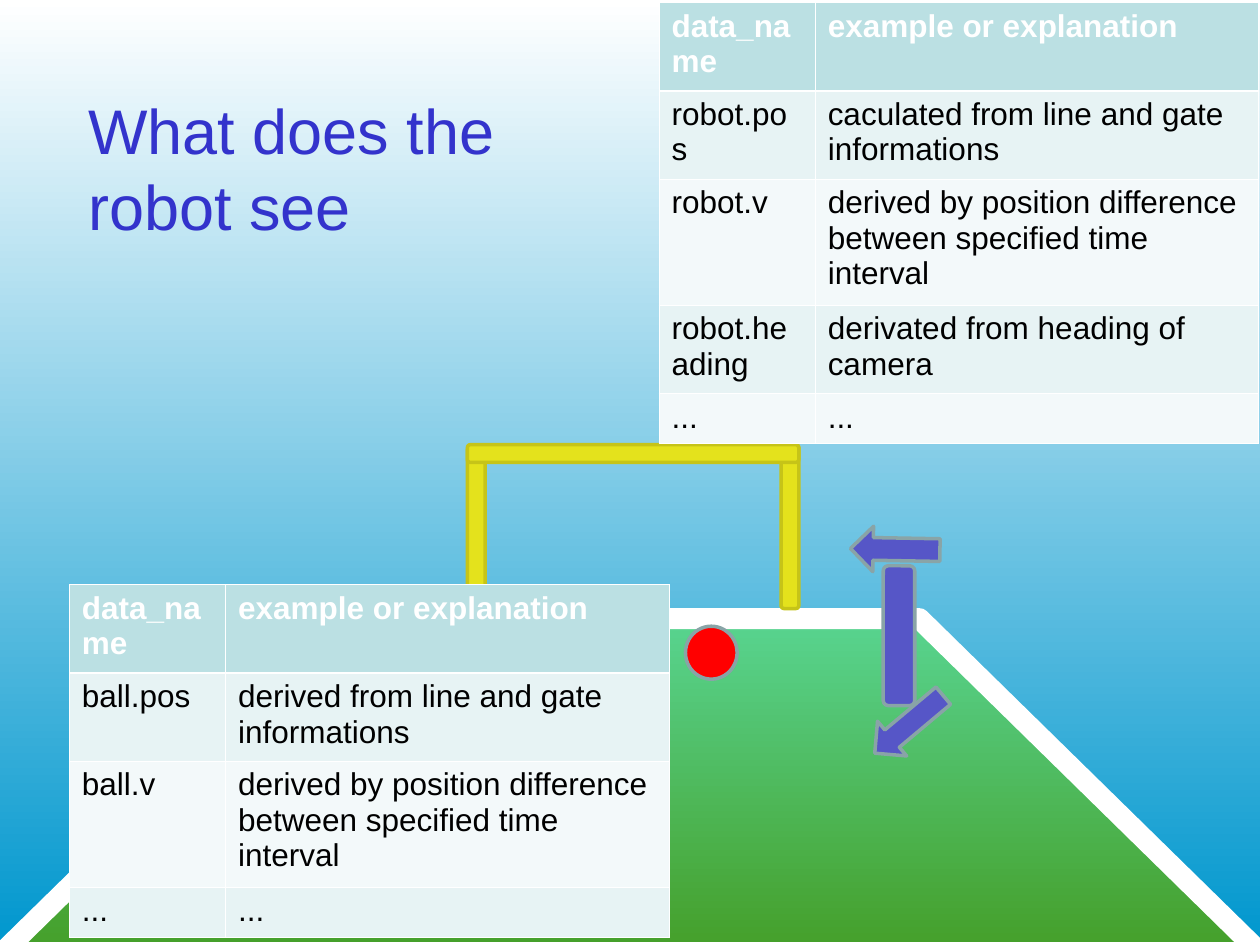
from dataclasses import dataclass

from lxml.etree import SubElement
from pptx import Presentation
from pptx.dml.color import RGBColor
from pptx.enum.shapes import MSO_SHAPE
from pptx.enum.text import MSO_ANCHOR, MSO_AUTO_SIZE, PP_ALIGN
from pptx.oxml.ns import qn
from pptx.util import Inches, Pt


@dataclass(frozen=True)
class Theme:
    font: str = "Arial"
    title_size: int = 36
    table_size: int = 18
    title: str = "3333CC"
    text: str = "000000"
    white: str = "FFFFFF"
    sky: tuple = ("FFFFFF", "0097CE")
    grass: tuple = ("58D490", "459F29")
    goal: str = "E4E21C"
    goal_edge: str = "C6C418"
    robot: str = "5656C7"
    edge: str = "89A4A7"
    ball: str = "FF0000"
    header: str = "BBE0E3"
    bands: tuple = ("E7F3F4", "F3F9FA")
    thin: float = 0.45
    thick: float = 1.47


def rgb(color):
    return RGBColor.from_string(color)


def fill_down(fill, colors):
    """Fill with a gradient running from top to bottom."""
    fill.gradient()
    fill.gradient_angle = 270
    for stop, color in zip(fill.gradient_stops, colors):
        stop.color.rgb = rgb(color)


class SlideBuilder:
    def __init__(self, prs, theme):
        self.theme = theme
        self.s = prs.slides.add_slide(prs.slide_layouts[5])
        fill_down(self.s.background.fill, theme.sky)

    def add_text(self, p, text, size, color, bold=False):
        r = p.add_run()
        r.text = text
        r.font.name = self.theme.font
        r.font.size = Pt(size)
        r.font.bold = bold
        r.font.color.rgb = rgb(color)

    def title(self, text, box):
        sp = self.s.shapes.title
        sp.left, sp.top, sp.width, sp.height = map(Inches, box)
        tf = sp.text_frame
        tf.word_wrap = True
        tf.auto_size = MSO_AUTO_SIZE.NONE
        tf.vertical_anchor = MSO_ANCHOR.TOP
        p = tf.paragraphs[0]
        p.alignment = PP_ALIGN.LEFT
        self.add_text(p, text, self.theme.title_size, self.theme.title)

    def shape(self, kind, box, fill, line, width=2, adj=(), rotation=0):
        """Add a preset shape; a pair of fill colours makes a gradient."""
        sp = self.s.shapes.add_shape(kind, *map(Inches, box))
        sp.shadow.inherit = False
        sp.rotation = rotation
        for i, value in enumerate(adj):
            sp.adjustments[i] = value
        if isinstance(fill, tuple):
            fill_down(sp.fill, fill)
        else:
            sp.fill.solid()
            sp.fill.fore_color.rgb = rgb(fill)
        sp.line.color.rgb = rgb(line)
        sp.line.width = Pt(width)

    def border(self, cell, side, width):
        ln = SubElement(cell._tc.get_or_add_tcPr(), qn(f"a:ln{side}"), w=str(Pt(width)))
        solid = SubElement(ln, qn("a:solidFill"))
        SubElement(solid, qn("a:srgbClr"), val=self.theme.white)

    def table(self, left, top, col_widths, row_heights, rows):
        t = self.theme
        table = self.s.shapes.add_table(
            len(rows), len(col_widths), Inches(left), Inches(top),
            Inches(sum(col_widths)), Inches(sum(row_heights))).table
        for col, width in zip(table.columns, col_widths):
            col.width = Inches(width)
        for i, (row, height, texts) in enumerate(zip(table.rows, row_heights, rows)):
            row.height = Inches(height)
            is_header = i == 0
            for cell, text in zip(row.cells, texts):
                self.border(cell, "L", t.thin)
                self.border(cell, "R", t.thin)
                self.border(cell, "T", t.thick if i == 1 else t.thin)
                self.border(cell, "B", t.thick if is_header else t.thin)
                cell.fill.solid()
                cell.fill.fore_color.rgb = rgb(t.header if is_header else t.bands[(i - 1) % 2])
                self.add_text(cell.text_frame.paragraphs[0], text, t.table_size,
                              t.white if is_header else t.text, is_header)


def main():
    prs = Presentation()
    prs.slide_width, prs.slide_height = Inches(10), Inches(7.5)
    theme = Theme()
    b = SlideBuilder(prs, theme)
    b.title("What does the robot see", (0.6, 0.68, 4.58, 1.3))

    b.shape(MSO_SHAPE.TRAPEZOID, (0.02, 4.91, 9.98, 2.65), theme.grass, theme.white,
            width=12, adj=[1.02])

    left_post, right_post = (3.71, 3.55, 0.14, 1.3), (6.2, 3.53, 0.14, 1.3)
    crossbar = (3.71, 3.53, 2.63, 0.14)
    for box in (left_post, right_post, crossbar):
        b.shape(MSO_SHAPE.ROUNDED_RECTANGLE, box, theme.goal, theme.goal_edge, adj=[0.16])

    foot, head = (6.86, 5.57, 0.71, 0.36), (6.75, 4.18, 0.71, 0.36)
    b.shape(MSO_SHAPE.LEFT_ARROW, foot, theme.robot, theme.edge, rotation=320)
    b.shape(MSO_SHAPE.ROUNDED_RECTANGLE, (7.01, 4.49, 0.25, 1.11), theme.robot, theme.edge,
            adj=[0.16])
    b.shape(MSO_SHAPE.LEFT_ARROW, head, theme.robot, theme.edge, rotation=1)
    b.shape(MSO_SHAPE.OVAL, (5.44, 4.97, 0.41, 0.42), theme.ball, theme.edge)

    header = ("data_name", "example or explanation")
    speed = "derived by position difference between specified time interval"
    more = ("...", "...")
    col_widths = (1.24, 3.52)
    b.table(0.55, 4.64, col_widths, (0.7, 0.7, 1, 0.4), [
        header,
        ("ball.pos", "derived from line and gate informations"),
        ("ball.v", speed),
        more,
    ])
    b.table(5.23, 0.02, col_widths, (0.7, 0.7, 1, 0.7, 0.4), [
        header,
        ("robot.pos", "caculated from line and gate informations"),
        ("robot.v", speed),
        ("robot.heading", "derivated from heading of camera"),
        more,
    ])
    prs.save("out.pptx")


if __name__ == "__main__":
    main()
